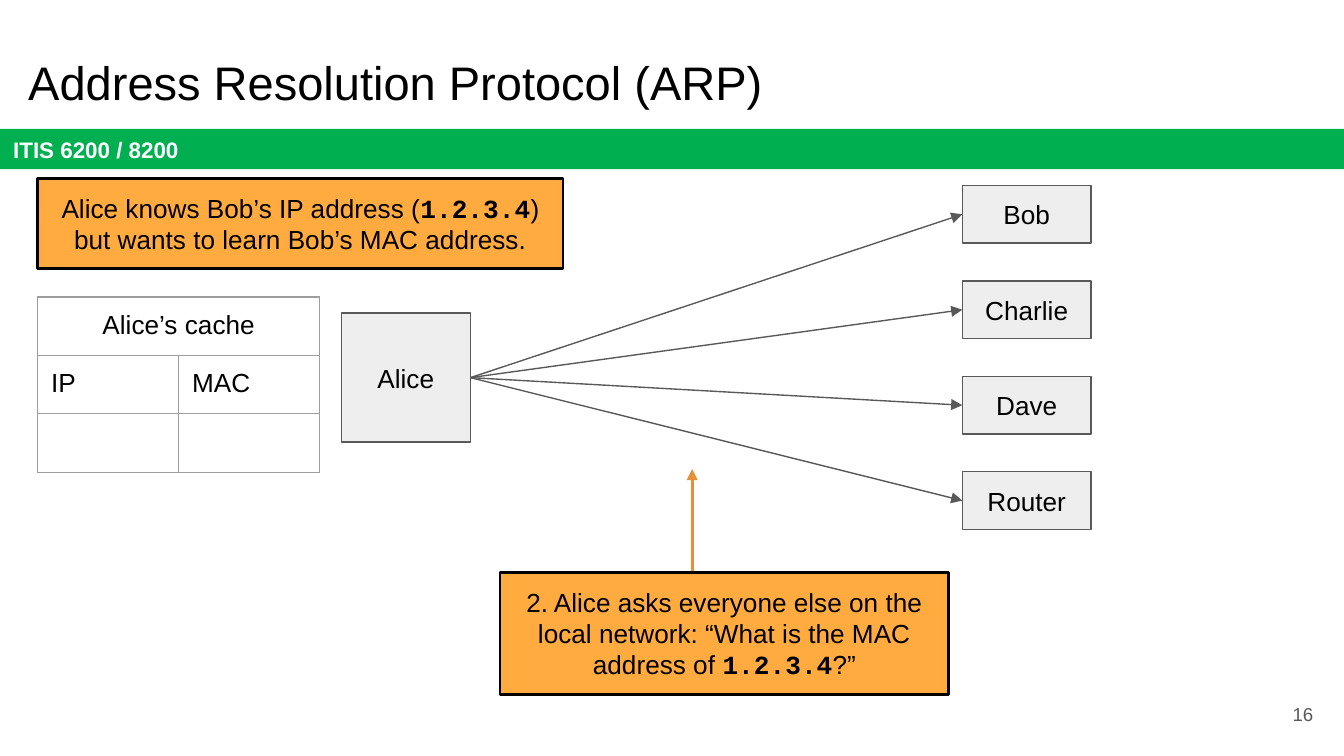
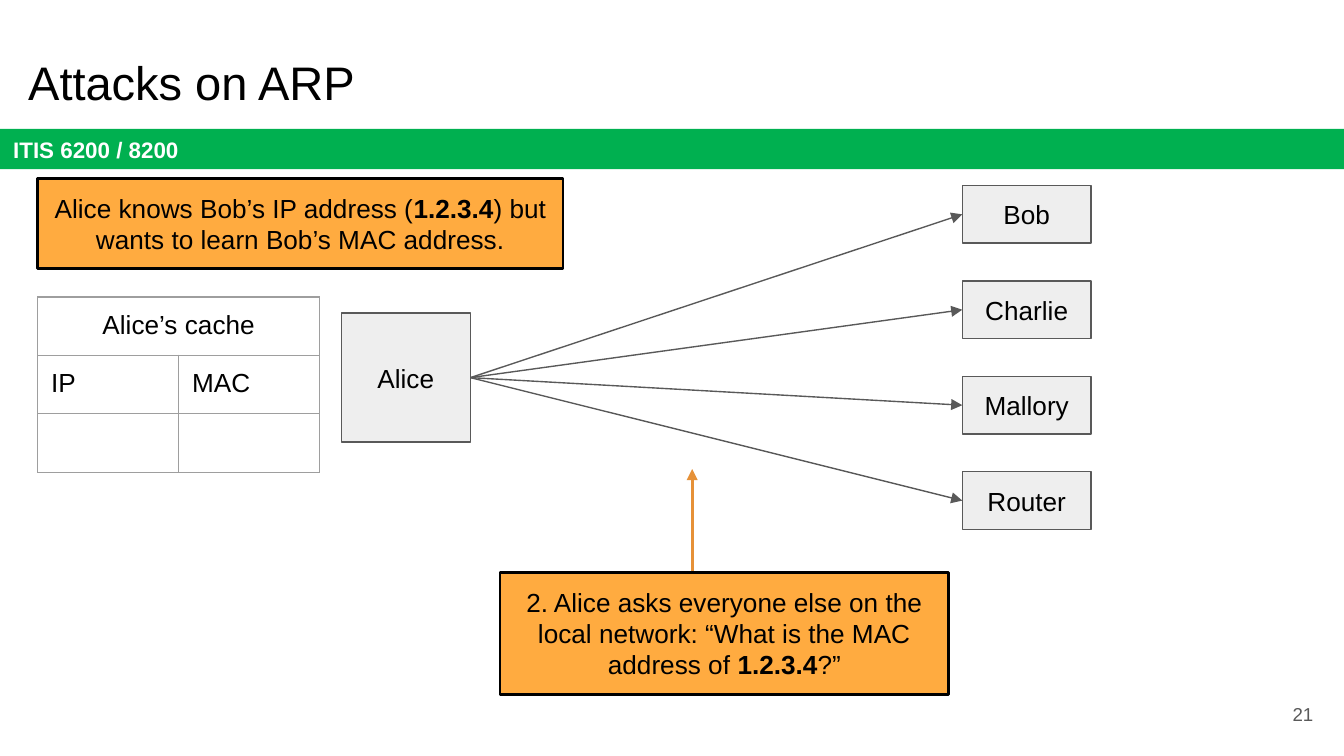
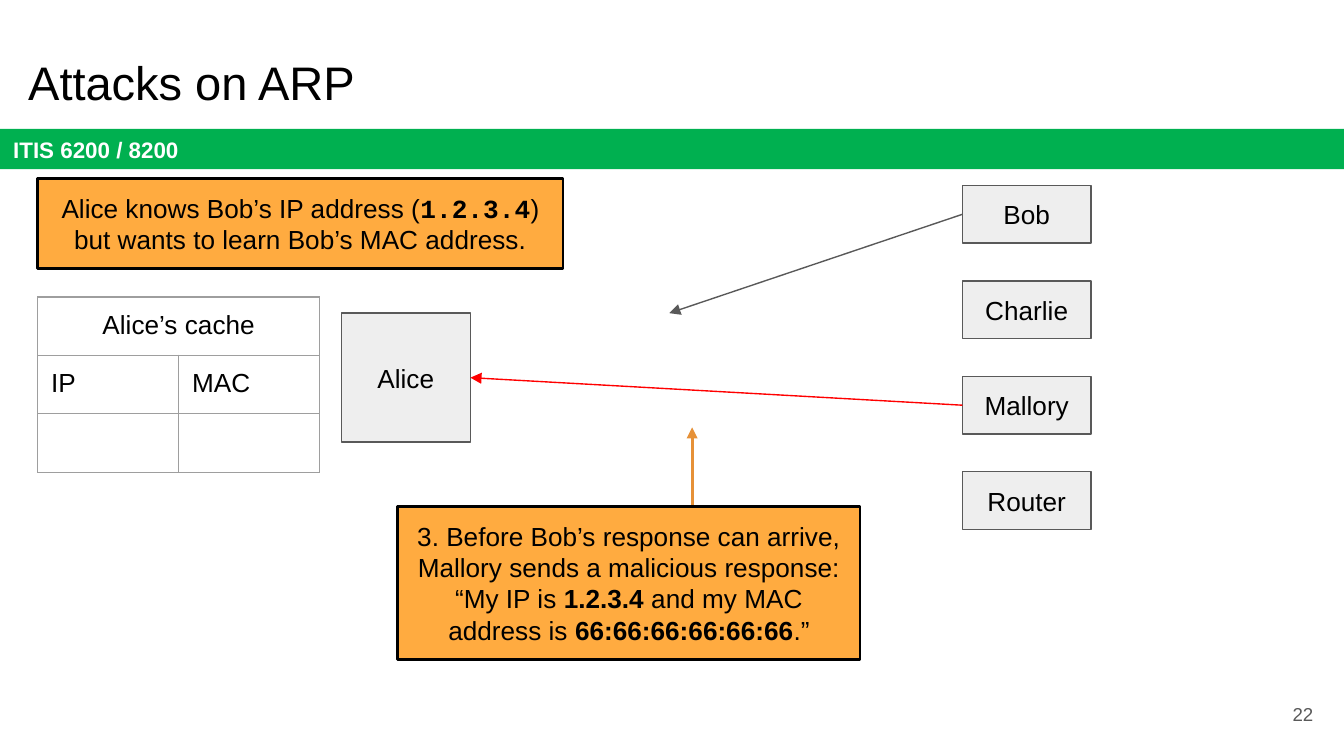
"""Build three slides that walk through ARP requests and an attack on them."""
from dataclasses import dataclass
from typing import NamedTuple

from lxml.etree import SubElement
from pptx import Presentation
from pptx.dml.color import RGBColor
from pptx.enum.dml import MSO_LINE
from pptx.enum.shapes import MSO_CONNECTOR, MSO_SHAPE
from pptx.enum.text import MSO_ANCHOR as Anchor, MSO_AUTO_SIZE as AutoSize, PP_ALIGN as Align
from pptx.oxml import parse_xml
from pptx.oxml.ns import nsdecls, qn
from pptx.util import Inches, Pt


@dataclass(frozen=True)
class Theme:
    font: str = "Arial"
    mono: str = "Courier New"
    black: str = "000000"
    white: str = "FFFFFF"
    band: str = "00B050"
    node: str = "EEEEEE"
    gray: str = "595959"
    grid: str = "9E9E9E"
    callout: str = "FFAB40"
    pointer: str = "E69138"
    attack: str = "FF0000"
    title_size: float = 25.2
    body_size: float = 14
    band_size: float = 12
    number_size: float = 10
    thin: float = 0.75
    thick: float = 1.5
    inset: float = 0.1


THEME = Theme()


class Point(NamedTuple):
    x: float
    y: float


class Box(NamedTuple):
    left: float
    top: float
    width: float
    height: float

    @property
    def left_mid(self) -> Point:
        return Point(self.left, self.top + self.height / 2)

    @property
    def right_mid(self) -> Point:
        return Point(self.left + self.width, self.top + self.height / 2)

    def lengths(self) -> list:
        return [Inches(value) for value in self]


class Span(NamedTuple):
    text: str
    bold: bool = False
    font: str = THEME.font


class Arrow(NamedTuple):
    start: Point
    end: Point
    color: str = THEME.gray
    width: float = THEME.thin


class Callout(NamedTuple):
    box: Box
    spans: list[Span]


@dataclass(frozen=True)
class Scene:
    title: str
    number: int
    third_host: str
    address_font: str
    step: Callout
    pointer_tip: float
    messages: list[Arrow]


BAND = Box(0, 0.96, 10, 0.3)
TITLE = Box(0.11, 0.3, 9.32, 0.63)
NUMBER = Box(9.27, 5.1, 0.6, 0.43)
ALICE = Box(2.54, 2.33, 0.96, 0.96)
HOSTS = [Box(7.16, 1.38 + 0.71 * row, 0.96, 0.43) for row in range(4)]
BOB, _, MALLORY, _ = HOSTS
CACHE = Box(0.28, 2.21, 2.1, 1.3)
INTRO = Box(0.28, 1.33, 3.91, 0.67)
QUESTION = Box(3.72, 4.26, 3.34, 0.91)
RESPONSE = Box(2.96, 3.77, 3.44, 1.14)
POINTER_START = Point(5.15, 4.49)
BROADCAST = [Arrow(ALICE.right_mid, host.left_mid) for host in HOSTS]
REPLIES = [
    Arrow(BOB.left_mid, Point(4.98, 2.33)),
    Arrow(MALLORY.left_mid, ALICE.right_mid, THEME.attack),
]


def address(font: str) -> Span:
    """Return Bob's IP address in bold."""
    return Span("1.2.3.4", True, font)


def ask_everyone(font: str) -> Callout:
    """Return the callout for the broadcast request."""
    return Callout(QUESTION, [
        Span("2. Alice asks everyone else on the local network: “What is the MAC address of "),
        address(font),
        Span("?”"),
    ])


SCENES = [
    Scene("Address Resolution Protocol (ARP)", 16, "Dave", THEME.mono,
          ask_everyone(THEME.mono), 3.49, BROADCAST),
    Scene("Attacks on ARP", 21, "Mallory", THEME.font,
          ask_everyone(THEME.font), 3.49, BROADCAST),
    Scene("Attacks on ARP", 22, "Mallory", THEME.mono, Callout(RESPONSE, [
        Span("3. Before Bob’s response can arrive, Mallory sends a malicious response: “My IP is "),
        address(THEME.font),
        Span(" and my MAC address is "),
        Span("66:66:66:66:66:66", True),
        Span(".”"),
    ]), 3.18, REPLIES),
]


def rgb(color: str) -> RGBColor:
    """Convert a hex colour."""
    return RGBColor.from_string(color)


def write(frame, spans: list[Span], size: float = THEME.body_size,
          color: str = THEME.black, align: Align = Align.LEFT) -> None:
    """Write one paragraph run by run."""
    para = frame.paragraphs[0]
    para.alignment = align
    for span in spans:
        run = para.add_run()
        run.text = span.text
        run.font.name = span.font
        run.font.size = Pt(size)
        run.font.bold = span.bold
        run.font.color.rgb = rgb(color)


def prepare(frame, anchor: Anchor = Anchor.MIDDLE) -> None:
    """Set the wrapping, anchor and insets of a text frame."""
    frame.word_wrap = True
    frame.auto_size = AutoSize.NONE
    frame.vertical_anchor = anchor
    frame.margin_left = frame.margin_right = Inches(THEME.inset)
    frame.margin_top = frame.margin_bottom = Inches(THEME.inset)


def add_rect(slide, box: Box, fill: str, line: str = "",
             width: float = THEME.thin, anchor: Anchor = Anchor.MIDDLE):
    """Add a rectangle and return its text frame."""
    shape = slide.shapes.add_shape(MSO_SHAPE.RECTANGLE, *box.lengths())
    shape.shadow.inherit = False
    shape.fill.solid()
    shape.fill.fore_color.rgb = rgb(fill)
    if line:
        shape.line.color.rgb = rgb(line)
        shape.line.width = Pt(width)
    else:
        shape.line.fill.background()
    prepare(shape.text_frame, anchor)
    return shape.text_frame


def add_node(slide, box: Box, name: str) -> None:
    """Add a named host."""
    frame = add_rect(slide, box, THEME.node, THEME.gray)
    write(frame, [Span(name)], align=Align.CENTER)


def add_callout(slide, callout: Callout) -> None:
    """Add an orange explanation."""
    frame = add_rect(slide, callout.box, THEME.callout, THEME.black, THEME.thick, Anchor.TOP)
    frame.auto_size = AutoSize.SHAPE_TO_FIT_TEXT
    write(frame, callout.spans, align=Align.CENTER)


def add_arrow(slide, arrow: Arrow) -> None:
    """Add a straight arrow with a head at its end."""
    ends = [Inches(value) for value in (*arrow.start, *arrow.end)]
    connector = slide.shapes.add_connector(MSO_CONNECTOR.STRAIGHT, *ends)
    connector.line.color.rgb = rgb(arrow.color)
    connector.line.width = Pt(arrow.width)
    connector.line.dash_style = MSO_LINE.SOLID
    SubElement(connector.line._get_or_add_ln(), qn("a:tailEnd"), type="triangle")
    SubElement(connector._element.spPr, qn("a:effectLst"))


def add_borders(cell) -> None:
    """Draw all four borders of a table cell."""
    properties = cell._tc.get_or_add_tcPr()
    for index, side in enumerate("LRTB"):
        properties.insert(index, parse_xml(
            f'<a:ln{side} {nsdecls("a")} w="{Pt(THEME.thin)}"><a:solidFill>'
            f'<a:srgbClr val="{THEME.grid}"/></a:solidFill></a:ln{side}>'))


def add_cache(slide) -> None:
    """Add Alice's empty address cache."""
    rows = [["Alice’s cache", ""], ["IP", "MAC"], ["", ""]]
    table = slide.shapes.add_table(len(rows), 2, *CACHE.lengths()).table
    table.first_row = table.horz_banding = False
    for r, texts in enumerate(rows):
        for c, text in enumerate(texts):
            cell = table.cell(r, c)
            cell.fill.background()
            cell.margin_left = cell.margin_right = Inches(THEME.inset)
            cell.margin_top = cell.margin_bottom = Inches(THEME.inset)
            add_borders(cell)
            if text:
                write(cell.text_frame, [Span(text)], align=Align.LEFT if r else Align.CENTER)
            else:
                para = cell.text_frame.paragraphs[0]
                SubElement(para._p, qn("a:endParaRPr"), sz=str(THEME.body_size * 100))
    table.cell(0, 0).merge(table.cell(0, 1))


def add_frame(slide, scene: Scene) -> None:
    """Add the band, title and page number."""
    band = add_rect(slide, BAND, THEME.band)
    write(band, [Span("ITIS 6200 / 8200", True)], THEME.band_size, THEME.white)
    title = slide.shapes.title
    title.left, title.top, title.width, title.height = TITLE.lengths()
    prepare(title.text_frame, Anchor.TOP)
    write(title.text_frame, [Span(scene.title)], THEME.title_size)
    number = slide.shapes.add_textbox(*NUMBER.lengths()).text_frame
    prepare(number)
    write(number, [Span(str(scene.number))], THEME.number_size, THEME.gray, Align.RIGHT)


def add_scene(deck, scene: Scene) -> None:
    """Add one complete slide."""
    slide = deck.slides.add_slide(deck.slide_layouts[5])
    add_frame(slide, scene)
    add_node(slide, ALICE, "Alice")
    for box, name in zip(HOSTS, ["Bob", "Charlie", scene.third_host, "Router"]):
        add_node(slide, box, name)
    add_cache(slide)
    tip = Point(POINTER_START.x, scene.pointer_tip)
    add_arrow(slide, Arrow(POINTER_START, tip, THEME.pointer, THEME.thick))
    add_callout(slide, scene.step)
    add_callout(slide, Callout(INTRO, [
        Span("Alice knows Bob’s IP address ("),
        address(scene.address_font),
        Span(") but wants to learn Bob’s MAC address."),
    ]))
    for message in scene.messages:
        add_arrow(slide, message)


def main() -> None:
    """Build and save the deck."""
    deck = Presentation()
    deck.slide_width = Inches(10)
    deck.slide_height = deck.slide_width * 9 // 16
    for scene in SCENES:
        add_scene(deck, scene)
    deck.save("out.pptx")


if __name__ == "__main__":
    main()
